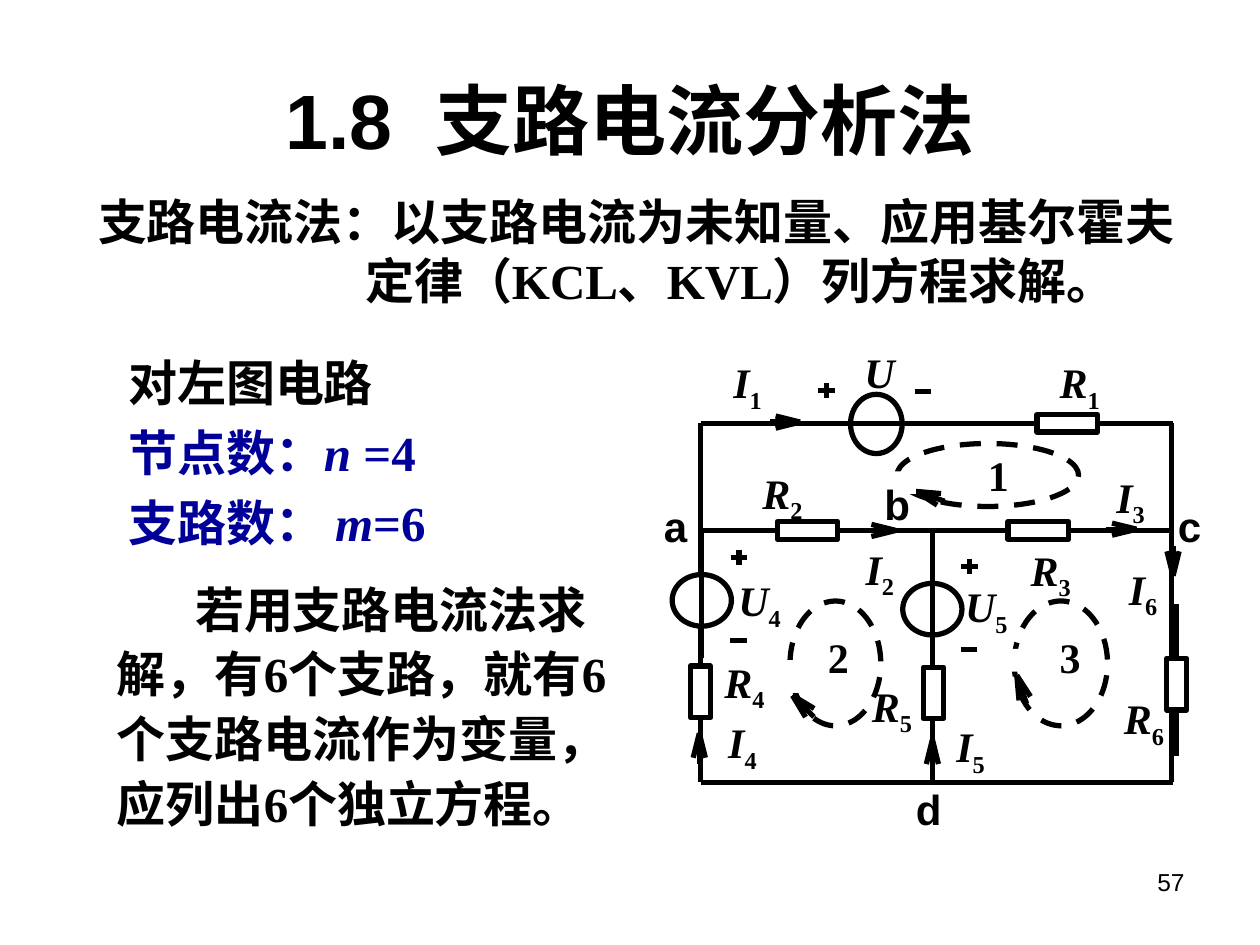
import math

import pptx
import pptx.dml.color
import pptx.enum.dml
import pptx.enum.shapes
import pptx.enum.text
import pptx.oxml
import pptx.oxml.ns
import pptx.util

ALIGN = pptx.enum.text.PP_ALIGN
SHAPE = pptx.enum.shapes.MSO_SHAPE
COLUMNS, ROWS = 100, 75
BLACK, WHITE, BLUE = "000000", "FFFFFF", "000099"


def color(value):
    return pptx.dml.color.RGBColor.from_string(value)


class CircuitSlide:
    """Draws on one slide; all lengths are grid columns and rows."""

    def __init__(self, presentation):
        self.width = presentation.slide_width
        self.height = presentation.slide_height
        self.slide = presentation.slides.add_slide(presentation.slide_layouts[6])
        self.weight = pptx.util.Pt(3)
        self.serif = {"name": "Times New Roman", "size": pptx.util.Pt(28), "bold": True}
        self.symbol = {**self.serif, "size": pptx.util.Pt(24)}
        self.node = {**self.symbol, "name": "Arial"}

    def x(self, columns):
        return round(self.width * columns / COLUMNS)

    def y(self, rows):
        return round(self.height * rows / ROWS)

    def box(self, left, top, width, height):
        return self.x(left), self.y(top), self.x(width), self.y(height)

    def text(self, place, paragraphs, style, margins=True, middle=False):
        """Each paragraph is (runs, paragraph format); each run is (text, font changes)."""
        frame = self.slide.shapes.add_textbox(*self.box(*place)).text_frame
        frame.word_wrap = True
        if middle:
            frame.vertical_anchor = pptx.enum.text.MSO_ANCHOR.MIDDLE
        if not margins:
            for side in ("left", "top", "right", "bottom"):
                setattr(frame, "margin_" + side, 0)
        for index, (runs, layout) in enumerate(paragraphs):
            paragraph = frame.add_paragraph() if index else frame.paragraphs[0]
            for name, value in layout.items():
                if name in ("marL", "indent"):
                    paragraph._p.get_or_add_pPr().set(name, str(self.x(value)))
                else:
                    setattr(paragraph, name, value)
            for content, changes in runs:
                run = paragraph.add_run()
                run.text = content
                values = {"color": BLACK, **style, **changes}
                run.font.color.rgb = color(values.pop("color"))
                if values.pop("subscript", False):
                    run._r.get_or_add_rPr().set("baseline", "-25000")
                for name, value in values.items():
                    setattr(run.font, name, value)

    def label(self, left, top, letter, index="", width=6):
        runs = [(letter, {"italic": letter.isalpha()})]
        if index:
            runs.append((index, {"subscript": True}))
        self.text((left, top, width, 5.3), [(runs, {"alignment": ALIGN.JUSTIFY})],
                  self.symbol, margins=False)

    def node_name(self, left, top, name):
        self.text((left, top, 5, 5), [([(name, {})], {})], self.node)

    def wire(self, x1, y1, x2, y2):
        connector = self.slide.shapes.add_connector(
            pptx.enum.shapes.MSO_CONNECTOR.STRAIGHT,
            self.x(x1), self.y(y1), self.x(x2), self.y(y2))
        connector.line.color.rgb = color(BLACK)
        connector.line.width = self.weight
        connector._element.spPr.append(
            pptx.oxml.parse_xml("<a:effectLst %s/>" % pptx.oxml.ns.nsdecls("a")))

    def shape(self, kind, place, filled=True, outlined=True, dashed=False):
        shape = self.slide.shapes.add_shape(kind, *self.box(*place))
        shape.shadow.inherit = False
        if filled:
            shape.fill.solid()
            shape.fill.fore_color.rgb = color(WHITE)
        else:
            shape.fill.background()
        if not outlined:
            shape.line.fill.background()
            return
        shape.line.color.rgb = color(BLACK)
        shape.line.width = self.weight
        if dashed:
            shape.line.dash_style = pptx.enum.dml.MSO_LINE.DASH

    def arrow(self, x, y, tail):
        """Tip at x, y; tail is the angle from tip to tail, clockwise from the right."""
        for turn, length in ((-14, 2), (14, 2), (0, 2.4)):
            angle = math.radians(tail + turn)
            self.wire(x, y, x + length * math.cos(angle), y + length * math.sin(angle))

    def polarity(self, x, plus_y, minus_x, minus_y):
        self.wire(x - 0.65, plus_y, x + 0.65, plus_y)
        self.wire(x, plus_y - 0.6, x, plus_y + 0.6)
        self.wire(minus_x - 0.65, minus_y, minus_x + 0.65, minus_y)


def main():
    presentation = pptx.Presentation()
    presentation.slide_width = pptx.util.Inches(10)
    presentation.slide_height = pptx.util.Inches(7.5)
    page = CircuitSlide(presentation)

    # Page number, title and definition
    page.text((71.7, 68.3, 23.3, 5.2), [([("57", {})], {"alignment": ALIGN.RIGHT})],
              {"name": "Arial", "size": pptx.util.Pt(14)})
    page.text((5, 6.3, 90, 6.2),
              [([("1.8  支路电流分析法", {})], {"alignment": ALIGN.CENTER})],
              {"name": "Arial", "size": pptx.util.Pt(44), "bold": True}, middle=True)
    page.text((6.8, 14.7, 89.1, 10.3), [
        ([("支路电流法：以支路电流为未知量、应用基尔霍夫", {})], {}),
        ([("定律（KCL、KVL）列方程求解。", {})], {"marL": 21.2, "indent": 0}),
    ], page.serif)

    # Counts and conclusion
    spaced = {"line_spacing": 1.1, "space_before": pptx.util.Pt(3)}
    blue, variable = {"color": BLUE}, {"color": BLUE, "italic": True}
    page.text((9.2, 27.5, 36.7, 16.9), [
        ([("对左图电路", {})], {}),
        ([("节点数：", blue), ("n", variable), (" =4", blue)], spaced),
        ([("支路数： ", blue), ("m", variable), ("=6", blue)], spaced),
    ], page.serif)
    page.text((8.3, 45, 40.8, 21.6), [
        ([("若用支路电流法求解，有6个支路，就有6个支路电流作为变量，应列出6个独立方程。", {})],
         {"line_spacing": 1.1, "marL": 0, "indent": 6.2}),
    ], page.serif)

    # Outer loop and middle branches
    left, middle, right = 55.6, 74, 93
    top, center, bottom = 33.6, 42.1, 62.1
    for row in (top, center, bottom):
        page.wire(left, row, 93.1, row)
    for column, start in ((left, top), (right, top), (middle, center)):
        page.wire(column, start, column, bottom)
    page.wire(93.4, 47.9, 93.4, 60)

    # Resistors
    for x, y in ((84.7, top), (64.1, center), (82.4, center)):
        page.shape(SHAPE.RECTANGLE, (x - 2.4, y - 0.7, 4.8, 1.4))
    for x, y in ((left, 54.9), (74.1, 55), (93.4, 54.3)):
        page.shape(SHAPE.RECTANGLE, (x - 0.8, y - 2.05, 1.6, 4.1))

    # Voltage sources with their leads and polarity marks
    page.shape(SHAPE.OVAL, (67.5, 31.3, 4.1, 4.7))
    page.wire(62.5, top, 76.5, top)
    page.polarity(65.6, 31, 73.25, 31.1)
    for x, y in ((55.7, 47.65), (middle, 48.35)):
        page.shape(SHAPE.OVAL, (x - 2.35, y - 2.05, 4.7, 4.1))
        page.wire(x, center, x, y + 4.6)
        page.polarity(x + 2.95, y - 3.4, x + 2.9, y + 3.2)

    # Current arrows: right, up and down
    for x, y in ((63.5, 33.5), (71.1, center), (90.2, 42)):
        page.arrow(x, y, 180)
    for x, y in ((55.5, 58.2), (middle, 58.7)):
        page.arrow(x, y, 90)
    page.arrow(93.1, 45.7, -90)

    # Dashed loops, their arrows and the gaps behind the arrow tips
    for place in ((71.2, 35.2, 14.4, 5), (62.7, 47.7, 7.2, 9.9), (80.5, 47.7, 7.4, 9.9)):
        page.shape(SHAPE.OVAL, place, filled=False, dashed=True)
    for x, y, tail in ((72.7, 39, 19), (80.7, 53.6, 71), (62.9, 55.2, 45)):
        page.arrow(x, y, tail)
    for place in ((79.6, 51.5, 2.7, 1.8), (61.5, 52.4, 2.5, 2.6), (68.9, 37.4, 3.8, 1.8)):
        page.shape(SHAPE.RECTANGLE, place, outlined=False)

    # Component, current and loop labels
    page.label(68.6, 27.5, "U", width=3.2)
    for x, y, letter, index in (
            (58.6, 45.6, "U", "4"), (76.6, 46.1, "U", "5"),
            (84.1, 28.3, "R", "1"), (60.5, 37.1, "R", "2"), (81.8, 43.2, "R", "3"),
            (57.5, 52.1, "R", "4"), (69.2, 54, "R", "5"), (89.2, 55, "R", "6"),
            (58.2, 28.3, "I", "1"), (68.7, 43.1, "I", "2"), (88.6, 37.4, "I", "3"),
            (57.8, 56.9, "I", "4"), (75.9, 57.2, "I", "5"), (89.6, 44.7, "I", "6"),
            (78.4, 35.7, "1", ""), (65.7, 50.1, "2", ""), (84.1, 50.1, "3", "")):
        page.label(x, y, letter, index)

    # Node names
    for x, y, name in ((51.7, 39.2, "a"), (69.2, 37.5, "b"),
                       (92.5, 39.2, "c"), (71.7, 61.7, "d")):
        page.node_name(x, y, name)

    presentation.save("out.pptx")


if __name__ == "__main__":
    main()
